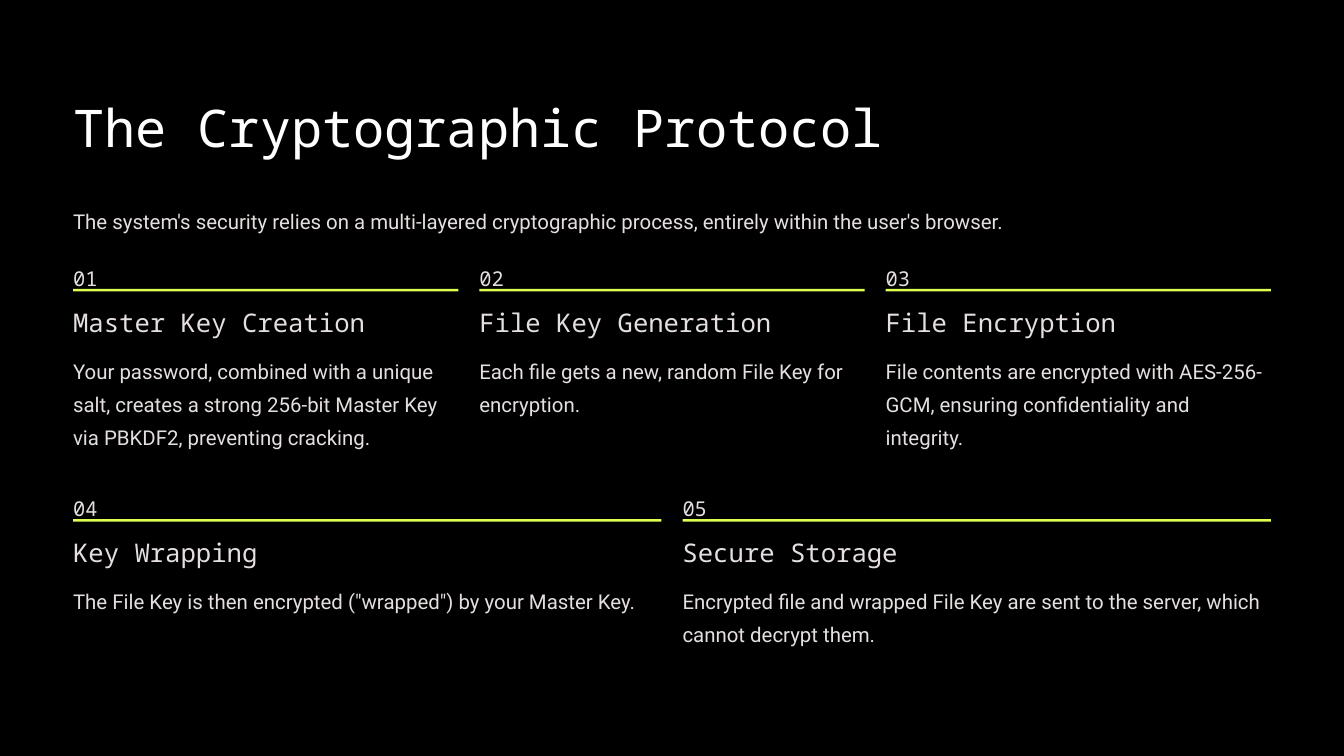
"""Build the slide on the five steps of the cryptographic protocol."""
from pptx import Presentation
from pptx.dml.color import RGBColor
from pptx.enum.shapes import MSO_SHAPE
from pptx.enum.text import MSO_ANCHOR, MSO_AUTO_SIZE, PP_ALIGN
from pptx.util import Inches, Pt

RECT = MSO_SHAPE.RECTANGLE
TOP = MSO_ANCHOR.TOP
NO_FIT = MSO_AUTO_SIZE.NONE
LEFT = PP_ALIGN.LEFT

MONO, SANS = "Noto Sans Mono", "Roboto"
WHITE, GREY = RGBColor.from_string("FFFFFF"), RGBColor.from_string("E5E0DF")
THEME = {
    "background": RGBColor.from_string("000000"),
    "accent": RGBColor.from_string("DCFF50"),
    "title": {"font": MONO, "size": 44.5, "color": WHITE, "leading": 55.5},
    "number": {"font": MONO, "size": 17.5, "color": GREY, "leading": 28.5},
    "heading": {"font": MONO, "size": 22, "color": GREY, "leading": 27.5},
    "body": {"font": SANS, "size": 17.5, "color": GREY, "leading": 28.5},
}

MARGIN, CONTENT_W, GAP = 0.87, 14.26, 0.25
ROW_TOP, ROW_STEP = 3.06, 2.74
RULE_DY, HEADING_DY, BODY_DY = 0.38, 0.58, 1.11
LINE_H = 0.4

ROWS = [
    [
        ("Master Key Creation", 3.53, 3,
         "Your password, combined with a unique salt, creates a strong "
         "256-bit Master Key via PBKDF2, preventing cracking."),
        ("File Key Generation", 3.53, 2,
         "Each file gets a new, random File Key for encryption."),
        ("File Encryption", 3.1, 3,
         "File contents are encrypted with AES-256-GCM, ensuring "
         "confidentiality and integrity."),
    ],
    [
        ("Key Wrapping", 3.1, 1,
         'The File Key is then encrypted ("wrapped") by your Master Key.'),
        ("Secure Storage", 3.1, 2,
         "Encrypted file and wrapped File Key are sent to the server, "
         "which cannot decrypt them."),
    ],
]


def write(sp, box, text, style, wrap=False):
    """Place a text shape and fill it with one styled paragraph."""
    for name, value in zip(("left", "top", "width", "height"), box):
        setattr(sp, name, Inches(value))
    tf = sp.text_frame
    frame = {"margin_left": 0, "margin_top": 0, "margin_right": 0,
             "margin_bottom": 0, "word_wrap": wrap, "auto_size": NO_FIT,
             "vertical_anchor": TOP}
    for name, value in frame.items():
        setattr(tf, name, value)
    p = tf.paragraphs[0]
    look = THEME[style]
    p.alignment, p.line_spacing = LEFT, Pt(look["leading"])
    r = p.add_run()
    r.text = text
    r.font.name, r.font.size = look["font"], Pt(look["size"])
    r.font.color.rgb = look["color"]


def add_text(s, box, text, style, wrap=False):
    """Add a text box holding one styled paragraph."""
    write(s.shapes.add_textbox(0, 0, 0, 0), box, text, style, wrap)


prs = Presentation()
prs.slide_width, prs.slide_height = Inches(16), Inches(9)
s = prs.slides.add_slide(prs.slide_layouts[5])
s.background.fill.solid()
s.background.fill.fore_color.rgb = THEME["background"]

write(s.shapes.title, (MARGIN, 1.11, 9.67, 0.78),
      "The Cryptographic Protocol", "title")
add_text(s, (MARGIN, 2.38, CONTENT_W, LINE_H),
         "The system's security relies on a multi-layered cryptographic "
         "process, entirely within the user's browser.", "body")

number = 0
for row, steps in enumerate(ROWS):
    y = ROW_TOP + row * ROW_STEP
    w = (CONTENT_W - GAP * (len(steps) - 1)) / len(steps)
    for col, (heading, heading_w, lines, body) in enumerate(steps):
        x = MARGIN + col * (w + GAP)
        number += 1
        add_text(s, (x, y, 0.25, 0.31), f"{number:02}", "number")
        rule = s.shapes.add_shape(RECT, Inches(x), Inches(y + RULE_DY),
                                  Inches(w), Inches(0.03))
        rule.shadow.inherit = False
        rule.fill.solid()
        rule.fill.fore_color.rgb = THEME["accent"]
        rule.line.fill.background()
        add_text(s, (x, y + HEADING_DY, heading_w, 0.39), heading, "heading")
        add_text(s, (x, y + BODY_DY, w, lines * LINE_H), body, "body", True)

prs.save("out.pptx")
